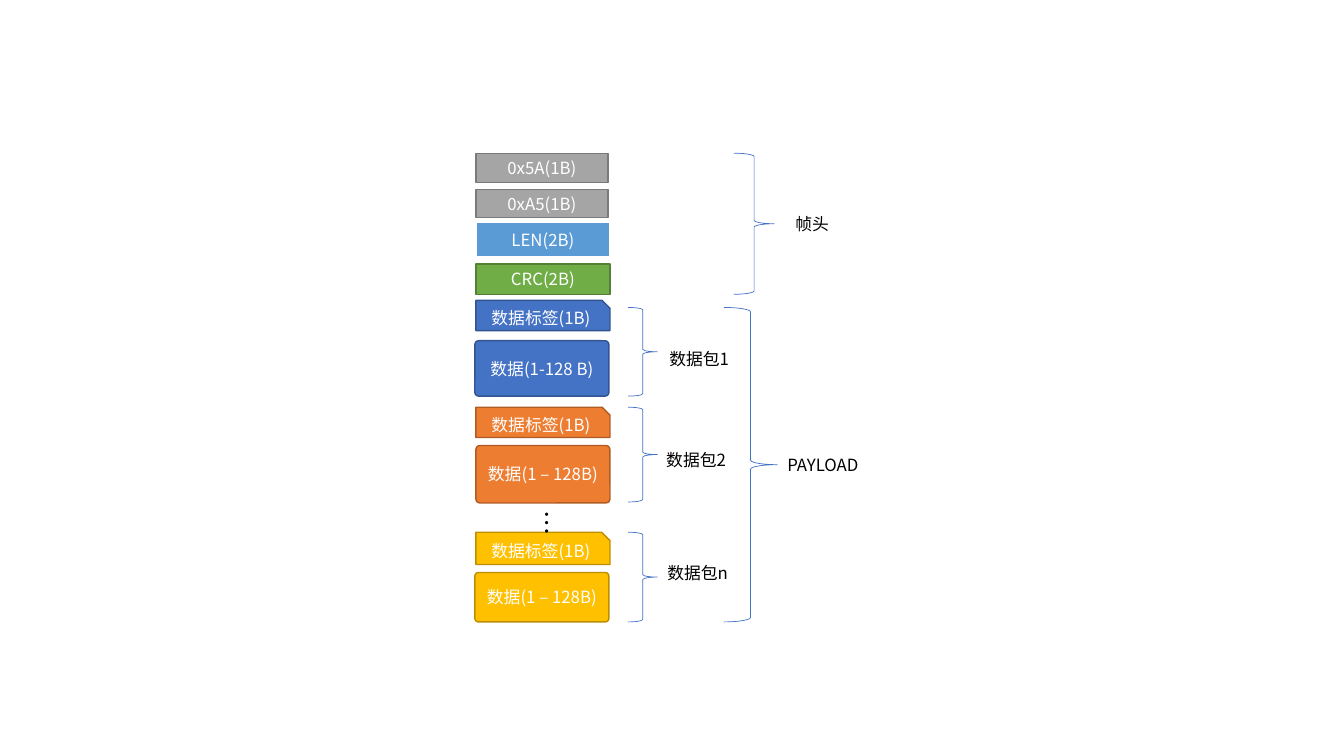
from lxml.etree import SubElement
from pptx import Presentation
from pptx.dml.color import RGBColor
from pptx.enum.shapes import MSO_SHAPE
from pptx.enum.text import MSO_ANCHOR, PP_ALIGN
from pptx.oxml.ns import qn
from pptx.util import Pt

PX = 9144
theme = {
    "font": "Noto Sans CJK SC", "size": 12, "dots": 18,
    "white": "FFFFFF", "black": "000000",
    "gray": ("A5A5A5", "7A7A7A"), "sky": ("5B9BD5", "FFFFFF"),
    "green": ("70AD47", "538035"), "blue": ("4472C4", "325491"),
    "orange": ("ED7D31", "AF5C24"), "gold": ("FFC000", "BD8E00"),
}

deck = Presentation()
deck.slide_width, deck.slide_height = 1333 * PX, 750 * PX
slide = deck.slides.add_slide(deck.slide_layouts[6])


def write(text, box, kind=None, paint=None, width=1, size=theme["size"], turn=0, adj=None):
    area = [n * PX for n in box]
    if kind is None:
        shape = slide.shapes.add_textbox(*area)
    else:
        shape = slide.shapes.add_shape(kind, *area)
        shape.shadow.inherit = False
        shape.fill.solid()
        shape.fill.fore_color.rgb = RGBColor.from_string(paint[0])
        shape.line.color.rgb = RGBColor.from_string(paint[1])
        shape.line.width = Pt(width)
        if adj:
            shape.adjustments[0] = adj
    shape.rotation = turn
    frame = shape.text_frame
    frame.word_wrap = True
    frame.vertical_anchor = MSO_ANCHOR.MIDDLE if kind else MSO_ANCHOR.TOP
    para = frame.paragraphs[0]
    para.alignment = PP_ALIGN.CENTER if kind else PP_ALIGN.LEFT
    run = para.add_run()
    run.text = text
    run.font.size = Pt(size)
    run.font.name = theme["font"]
    run.font.color.rgb = RGBColor.from_string(theme["white" if kind else "black"])
    SubElement(run.font._element, qn("a:ea"), typeface=theme["font"])


def brace(*box):
    shape = slide.shapes.add_shape(MSO_SHAPE.RIGHT_BRACE, *[n * PX for n in box])
    shape.shadow.inherit = False
    shape.fill.background()
    shape.line.color.rgb = RGBColor.from_string(theme["blue"][0])
    shape.line.width = Pt(0.5)


packs = [
    ("1", "数据(1-128 B)", "blue", (298, 30), (471, 338, 55), (305, 88), (654, 341)),
    ("2", "数据(1 – 128B)", "orange", (404, 30), (472, 442, 57), (404, 94), (651, 441)),
    ("n", "数据(1 – 128B)", "gold", (528, 32), (471, 568, 49), (528, 89), (652, 553)),
]
for mark, data, hue, tag, body, span, note in packs:
    left, top, high = body
    write(data, (left, top, 133, high), MSO_SHAPE.ROUNDED_RECTANGLE, theme[hue], adj=0.07)
    write("数据标签(1B)", (472, tag[0], 133, tag[1]),
          MSO_SHAPE.SNIP_1_RECTANGLE, theme[hue], adj=0.26)
    brace(623, span[0], 29, span[1])
    write("数据包" + mark, (*note, 114, 30))

write("…", (522, 497, 41, 40), size=theme["dots"], turn=90)

heads = [
    ("LEN(2B)", "sky", 220, 133, 35, 1.5),
    ("0xA5(1B)", "gray", 188, 131, 28, 1),
    ("0x5A(1B)", "gray", 152, 131, 29, 1),
    ("CRC(2B)", "green", 262, 133, 30, 1),
]
for text, hue, top, wide, high, width in heads:
    write(text, (472, top, wide, high), MSO_SHAPE.RECTANGLE, theme[hue], width)

brace(718, 305, 53, 312)
write("PAYLOAD", (771, 446, 102, 30))
brace(728, 152, 40, 140)
write("帧头", (779, 207, 69, 30))

deck.save("out.pptx")
